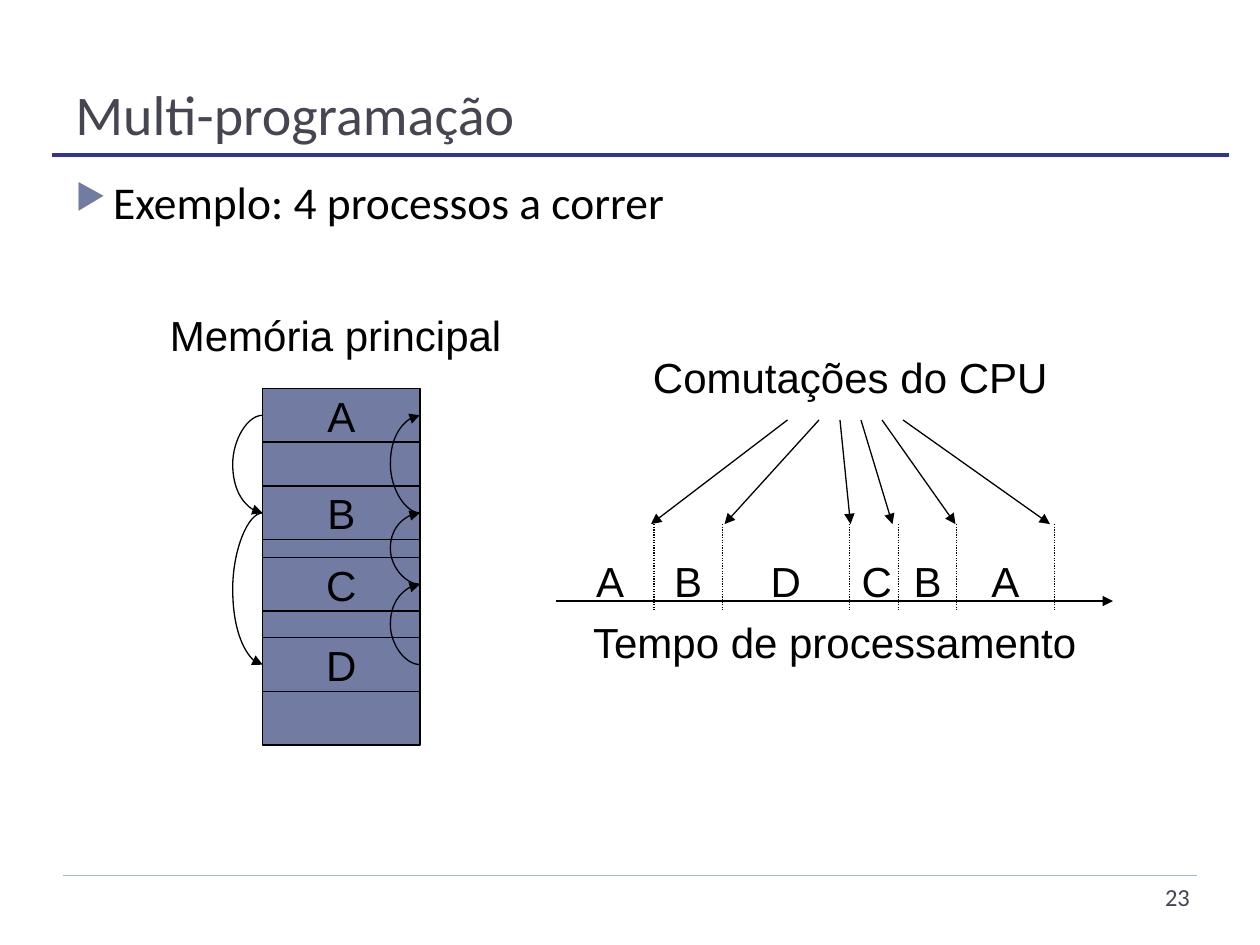
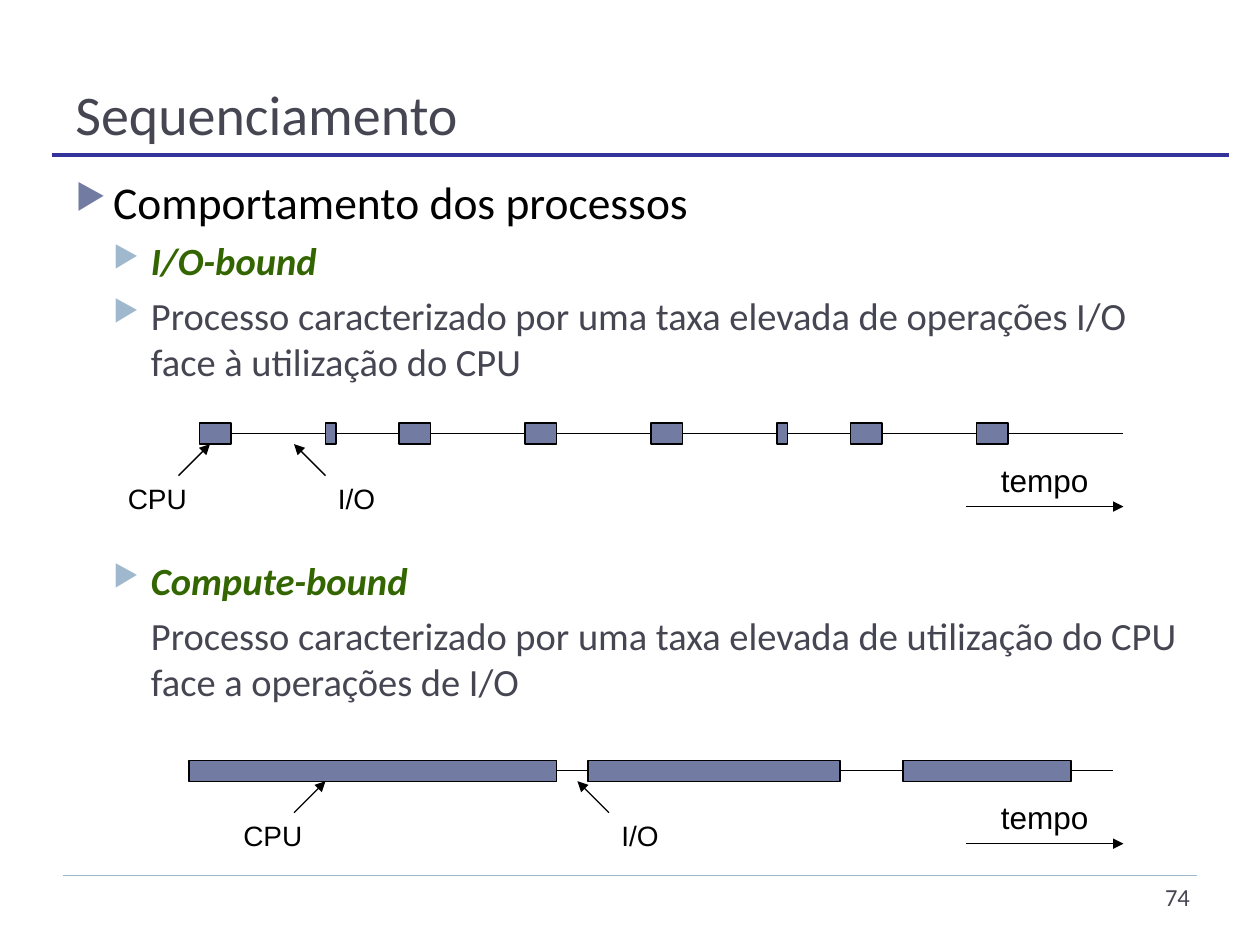
from dataclasses import dataclass
from itertools import accumulate

from lxml import etree
from pptx import Presentation
from pptx.dml.color import RGBColor
from pptx.enum.dml import MSO_LINE
from pptx.enum.shapes import MSO_CONNECTOR, MSO_SHAPE
from pptx.enum.text import MSO_ANCHOR, PP_ALIGN
from pptx.oxml.ns import qn
from pptx.util import Pt

STRAIGHT, CURVE = MSO_CONNECTOR.STRAIGHT, MSO_CONNECTOR.CURVE
RECTANGLE = MSO_SHAPE.RECTANGLE
DOTTED = MSO_LINE.ROUND_DOT
LEFT, CENTER, RIGHT = PP_ALIGN.LEFT, PP_ALIGN.CENTER, PP_ALIGN.RIGHT
TOP, MIDDLE, BOTTOM = MSO_ANCHOR.TOP, MSO_ANCHOR.MIDDLE, MSO_ANCHOR.BOTTOM
LEFT_SIDE, RIGHT_SIDE = 1, 3

BLACK = RGBColor(0x00, 0x00, 0x00)
SLATE = RGBColor(0x46, 0x46, 0x53)
BLUE = RGBColor(0x72, 0x7C, 0xA3)
PALE_BLUE = RGBColor(0x9F, 0xB8, 0xCD)
INDIGO = RGBColor(0x33, 0x33, 0x99)
GREEN = RGBColor(0x33, 0x66, 0x00)
HEADING, LABEL = "Calibri", "Arial"

MEMORY_LEFT, MEMORY_TOP, MEMORY_WIDTH = 150, 222, 90
CURVE_WIDTH, CURVE_BULGE = 0.12, 18
BAR_HEIGHT = 12


@dataclass(frozen=True)
class Bullet:
    """One paragraph of the body text."""
    text: str
    level: int = 0
    term: bool = False
    marker: bool = True
    before: float = 5


@dataclass(frozen=True)
class Slot:
    """A stretch of main memory, free when it has no process."""
    process: str
    height: float


@dataclass(frozen=True)
class Burst:
    """A stretch of CPU use on a time line."""
    left: float
    width: float


@dataclass(frozen=True)
class Pointer:
    """A labelled arrow towards a time line."""
    text: str
    tail: float
    tip: float
    label_left: float


@dataclass(frozen=True)
class Profile:
    """The time line of one kind of process."""
    top: float
    end: float
    bursts: tuple[Burst, ...]
    pointers: tuple[Pointer, ...]


MEMORY = (
    Slot("A", 30.6), Slot("", 25.2), Slot("B", 30.6), Slot("", 10.2),
    Slot("C", 30.6), Slot("", 15.3), Slot("D", 30.6), Slot("", 30.6),
)
SWITCHES = (("A", "B", LEFT_SIDE), ("B", "D", LEFT_SIDE), ("D", "C", RIGHT_SIDE),
            ("C", "B", RIGHT_SIDE), ("B", "A", RIGHT_SIDE))
TICKS = (373.8, 412.8, 485.3, 513.5, 546.6, 602.4)
SWITCH_ARROWS = ((450, 372), (468, 414), (480, 486), (492, 510), (504, 546), (516, 600))

PROFILES = (
    Profile(241.8, 642,
            (Burst(114, 18), Burst(186, 6), Burst(228, 18), Burst(300, 18),
             Burst(372, 18), Burst(444, 6), Burst(486, 18), Burst(558, 18)),
            (Pointer("CPU", 102, 120, 66), Pointer("I/O", 186, 168, 186))),
    Profile(434.4, 636,
            (Burst(108, 210), Burst(336, 144), Burst(516, 96)),
            (Pointer("CPU", 168, 186, 132), Pointer("I/O", 348, 330, 348))),
)
BEHAVIOUR = (
    Bullet("Comportamento dos processos", before=6),
    Bullet("I/O-bound", 1, term=True),
    Bullet("Processo caracterizado por uma taxa elevada de operações I/O "
           "face à utilização do CPU", 1),
    Bullet("Compute-bound", 1, term=True, before=98.5),
    Bullet("Processo caracterizado por uma taxa elevada de utilização do CPU "
           "face a operações de I/O", 1, marker=False),
)


def add_run(p, text: str, size: float, font: str, color: RGBColor, term: bool = False):
    """Append a formatted run to a paragraph."""
    r = p.add_run()
    r.text = text
    r.font.size = Pt(size)
    r.font.name = font
    r.font.color.rgb = color
    r.font.bold = r.font.italic = term


def add_box(s, left: float, top: float, width: float, height: float, anchor=TOP):
    """Add an empty wrapping text box and return its frame."""
    tf = s.shapes.add_textbox(Pt(left), Pt(top), Pt(width), Pt(height)).text_frame
    tf.word_wrap = True
    tf.vertical_anchor = anchor
    return tf


def add_label(s, text: str, left: float, top: float, width: float, size: float, align=CENTER):
    """Add a diagram label with half a line of space before it."""
    p = add_box(s, left, top, width, size * 1.2 + 7.2).paragraphs[0]
    p.alignment = align
    before = etree.Element(qn("a:spcBef"))
    etree.SubElement(before, qn("a:spcPct"), val="50000")
    p._p.get_or_add_pPr().insert(0, before)
    add_run(p, text, size, LABEL, BLACK)


def add_line(s, x1: float, y1: float, x2: float, y2: float, color: RGBColor = BLACK,
             weight: float = 0.75, arrow: bool = False, dash=None, kind=STRAIGHT):
    """Add a connector without shadow, with an arrowhead if asked."""
    c = s.shapes.add_connector(kind, Pt(x1), Pt(y1), Pt(x2), Pt(y2))
    c.line.color.rgb = color
    c.line.width = Pt(weight)
    if dash is not None:
        c.line.dash_style = dash
    if arrow:
        etree.SubElement(c.line._get_or_add_ln(), qn("a:tailEnd"), type="triangle")
    etree.SubElement(c._element.spPr, qn("a:effectLst"))
    return c


def add_block(s, left: float, top: float, width: float, height: float, text: str = ""):
    """Add an outlined blue rectangle."""
    sp = s.shapes.add_shape(RECTANGLE, Pt(left), Pt(top), Pt(width), Pt(height))
    sp.shadow.inherit = False
    sp.fill.solid()
    sp.fill.fore_color.rgb = BLUE
    sp.line.color.rgb = BLACK
    sp.line.width = Pt(0.75)
    if text:
        tf = sp.text_frame
        tf.word_wrap = False
        tf.vertical_anchor = MIDDLE
        p = tf.paragraphs[0]
        p.alignment = CENTER
        add_run(p, text, 24, LABEL, BLACK)
    return sp


def add_body(s, bullets: tuple[Bullet, ...]):
    """Write the body text with its triangular bullets."""
    tf = add_box(s, 36, 95.8, 648, 388.8)
    for i, bullet in enumerate(bullets):
        p = tf.add_paragraph() if i else tf.paragraphs[0]
        p.space_before = Pt(bullet.before)
        pPr = p._p.get_or_add_pPr()
        pPr.set("marL", str(Pt(21.6 * (bullet.level + 1))))
        pPr.set("indent", str(Pt(-21.6 if bullet.marker else 0)))
        if bullet.marker:
            color = etree.SubElement(pPr, qn("a:buClr"))
            etree.SubElement(color, qn("a:srgbClr"), val=str(PALE_BLUE if bullet.level else BLUE))
            etree.SubElement(pPr, qn("a:buSzPct"), val="76000")
            etree.SubElement(pPr, qn("a:buChar"), char="▶")
        color = GREEN if bullet.term else SLATE if bullet.level else BLACK
        add_run(p, bullet.text, 22 if bullet.level else 26, HEADING, color, bullet.term)


def add_slide(prs, title: str, number: str, bullets: tuple[Bullet, ...]):
    """Add a slide with rules, title, page number and body."""
    s = prs.slides.add_slide(prs.slide_layouts[6])
    add_line(s, 36, 500.4, 684, 500.4, PALE_BLUE)
    add_line(s, 30, 88.6, 702, 88.6, INDIGO, 2)
    p = add_box(s, 36, 9.4, 648, 77.8, BOTTOM).paragraphs[0]
    add_run(p, title, 32, HEADING, SLATE)
    p = add_box(s, 530, 500.4, 157, 28.8).paragraphs[0]
    p.alignment = RIGHT
    add_run(p, number, 14, HEADING, SLATE)
    add_body(s, bullets)
    return s


def add_switch(s, source, target, side: int):
    """Join two memory blocks with a curve that bulges out on one side."""
    c = add_line(s, 0, 0, 0, 0, arrow=True, kind=CURVE)
    c.begin_connect(source, side)
    c.end_connect(target, side)
    c.width = Pt(CURVE_WIDTH)
    bulge = CURVE_BULGE if side == RIGHT_SIDE else -CURVE_BULGE
    if side == LEFT_SIDE:
        xfrm = c._element.spPr.find(qn("a:xfrm"))
        for name, value in (("rot", "10800000"), ("flipH", "1"), ("flipV", "1")):
            xfrm.set(name, value)
    geometry = c._element.spPr.find(qn("a:prstGeom"))
    guides = geometry.find(qn("a:avLst"))
    if guides is None:
        guides = etree.SubElement(geometry, qn("a:avLst"))
    etree.SubElement(guides, qn("a:gd"), name="adj1",
                     fmla=f"val {round(bulge / CURVE_WIDTH * 100000)}")


def draw_memory(s):
    """Draw main memory and the switches between its processes."""
    add_label(s, "Memória principal", 90, 173.5, 222, 24, LEFT)
    tops = accumulate((slot.height for slot in MEMORY), initial=MEMORY_TOP)
    blocks = {}
    for slot, top in zip(MEMORY, tops):
        blocks[slot.process] = add_block(s, MEMORY_LEFT, top, MEMORY_WIDTH,
                                         slot.height, slot.process)
    for source, target, side in SWITCHES:
        add_switch(s, blocks[source], blocks[target], side)


def draw_cpu_time(s):
    """Draw the processing time line and its CPU switches."""
    add_line(s, 318, 343.5, 636, 343.5, arrow=True)
    for x in TICKS:
        add_line(s, x, 299.5, x, 348.5, dash=DOTTED)
    for process, left, right in zip("ABDCBA", (323.4, *TICKS), TICKS):
        add_label(s, process, left, 314, right - left, 24)
    add_label(s, "Tempo de processamento", 318, 348.5, 318, 24)
    add_label(s, "Comutações do CPU", 366, 197.5, 276, 24, LEFT)
    for tail, tip in SWITCH_ARROWS:
        add_line(s, tail, 240, tip, 299.5, arrow=True)


def draw_profile(s, profile: Profile):
    """Draw CPU bursts, the I/O gaps between them and their labels."""
    top, middle = profile.top, profile.top + BAR_HEIGHT / 2
    bars = [add_block(s, b.left, top, b.width, BAR_HEIGHT) for b in profile.bursts]
    ends = [b.left for b in profile.bursts[1:]] + [profile.end]
    for i, (burst, end) in enumerate(zip(profile.bursts, ends)):
        c = add_line(s, burst.left + burst.width, middle, end, middle)
        c.begin_connect(bars[i], RIGHT_SIDE)
        if i + 1 < len(bars):
            c.end_connect(bars[i + 1], LEFT_SIDE)
    for pointer in profile.pointers:
        add_line(s, pointer.tail, top + 30, pointer.tip, top + BAR_HEIGHT, arrow=True)
        add_label(s, pointer.text, pointer.label_left, top + 30, 66, 16, LEFT)
    add_line(s, 552, top + 47.7, 642, top + 47.7, arrow=True)
    add_label(s, "tempo", 552, top + 18, 90, 18)


def main():
    """Build and save the presentation."""
    prs = Presentation()
    prs.slide_width, prs.slide_height = Pt(720), Pt(540)
    s = add_slide(prs, "Multi-programação", "23",
                  (Bullet("Exemplo: 4 processos a correr", before=6),))
    draw_memory(s)
    draw_cpu_time(s)
    s = add_slide(prs, "Sequenciamento", "74", BEHAVIOUR)
    for profile in PROFILES:
        draw_profile(s, profile)
    prs.save("out.pptx")


if __name__ == "__main__":
    main()
